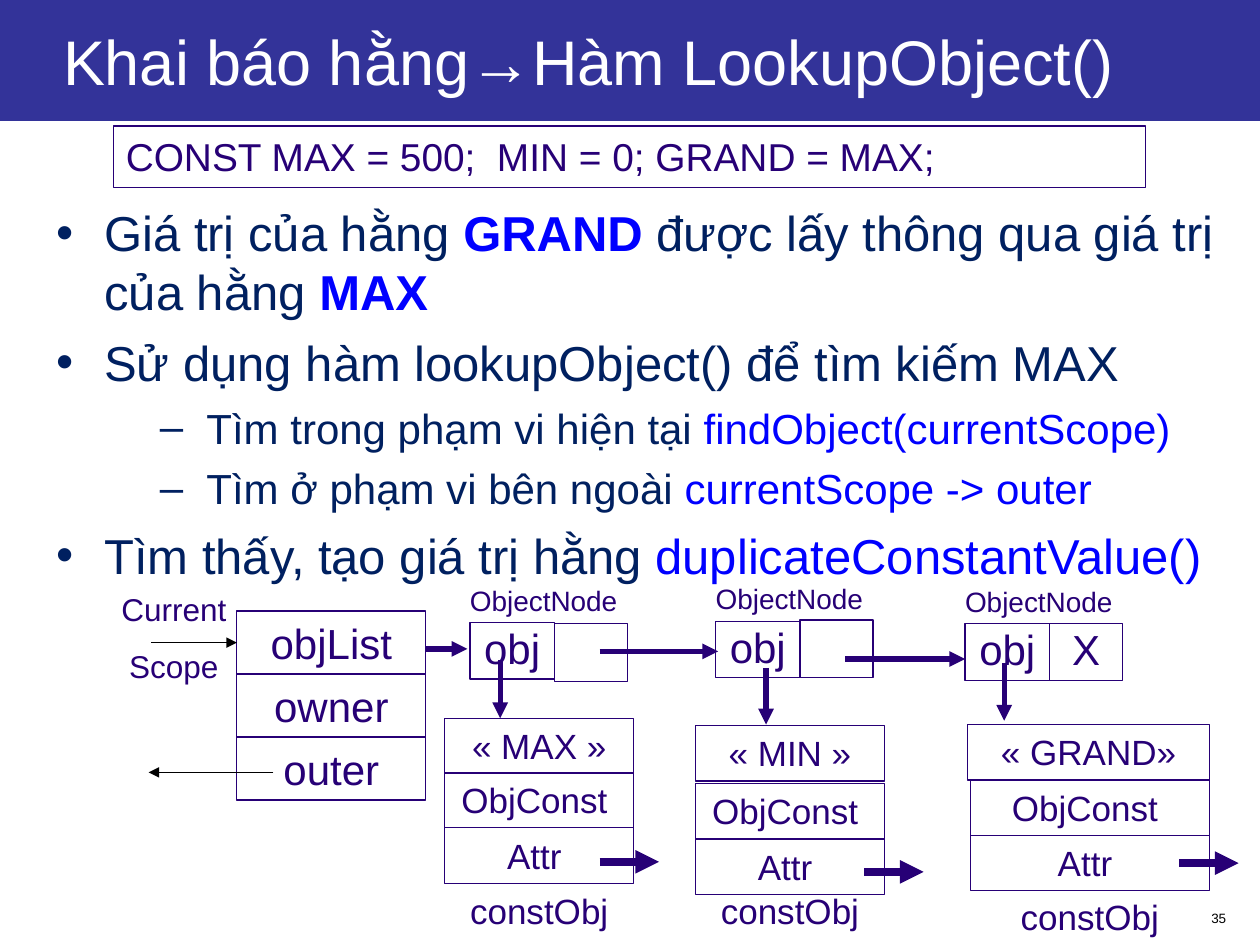
from lxml import etree
from pptx import Presentation
from pptx.dml.color import RGBColor
from pptx.enum.shapes import MSO_CONNECTOR, MSO_SHAPE
from pptx.enum.text import MSO_ANCHOR, PP_ALIGN
from pptx.oxml.ns import qn
from pptx.util import Inches, Pt

LEFT, CENTER, RIGHT = PP_ALIGN.LEFT, PP_ALIGN.CENTER, PP_ALIGN.RIGHT
TOP, MIDDLE = MSO_ANCHOR.TOP, MSO_ANCHOR.MIDDLE
RECTANGLE, STRAIGHT = MSO_SHAPE.RECTANGLE, MSO_CONNECTOR.STRAIGHT

BANNER = RGBColor(0x33, 0x33, 0x99)
WHITE = RGBColor(0xFF, 0xFF, 0xFF)
BLACK = RGBColor(0, 0, 0)
NAVY = RGBColor(0x00, 0x20, 0x60)
BLUE = RGBColor(0x00, 0x00, 0xFF)
INDIGO = RGBColor(0x27, 0x00, 0x76)
FONT = "Arial"

deck = Presentation()
deck.slide_width, deck.slide_height = Inches(10), Inches(7.5)
slide = deck.slides.add_slide(deck.slide_layouts[5])


def add_box(left, top, width, height, text="", size=20, align=CENTER,
            outlined=True, color=INDIGO, inset_top=0.05, gap=0):
    """Add a box, outlined or plain, with one paragraph per line of text."""
    place = [Inches(value) for value in (left, top, width, height)]
    if outlined:
        box = slide.shapes.add_shape(RECTANGLE, *place)
        box.shadow.inherit = False
        box.fill.background()
        box.line.color.rgb = INDIGO
        box.line.width = Pt(0.75)
    else:
        box = slide.shapes.add_textbox(*place)
    frame = box.text_frame
    frame.word_wrap = True
    frame.vertical_anchor = TOP
    frame.margin_top = Inches(inset_top)
    for index, line in enumerate(text.split("\n") if text else []):
        para = frame.paragraphs[0] if index == 0 else frame.add_paragraph()
        para.alignment = align
        if index:
            para.space_before = Pt(gap)
        span = para.add_run()
        span.text = line
        span.font.name, span.font.size = FONT, Pt(size)
        span.font.color.rgb = color


def add_arrow(x1, y1, x2, y2, width=3, color=INDIGO):
    """Add a straight connector with a triangle at its end."""
    arrow = slide.shapes.add_connector(
        STRAIGHT, Inches(x1), Inches(y1), Inches(x2), Inches(y2))
    arrow.line.color.rgb = color
    arrow.line.width = Pt(width)
    etree.SubElement(arrow.line._get_or_add_ln(), qn("a:tailEnd"), type="triangle")
    etree.SubElement(arrow._element.spPr, qn("a:effectLst"))


# Title banner
title = slide.shapes.title
title.left, title.top, title.width, title.height = 0, 0, Inches(10), Inches(0.96)
title.fill.solid()
title.fill.fore_color.rgb = BANNER
title.text_frame.margin_left = Inches(0.5)
title.text_frame.vertical_anchor = MIDDLE
para = title.text_frame.paragraphs[0]
para.alignment = LEFT
span = para.add_run()
span.text = "Khai báo hằng→Hàm LookupObject()"
span.font.name, span.font.size = FONT, Pt(36)
span.font.color.rgb = WHITE

# Declaration line and page number
add_box(0.9, 1, 8.19, 0.49, "CONST MAX = 500;  MIN = 0; GRAND = MAX;", 22.2, LEFT)
add_box(7.75, 7.17, 2.08, 0.24, "35", 7.7, RIGHT, outlined=False, color=BLACK)

# Bulleted explanation: level, then runs of text, colour, bold
POINTS = [
    (0, [("Giá trị của hằng ", NAVY, False), ("GRAND", BLUE, True),
         (" được lấy thông qua giá trị của hằng ", NAVY, False), ("MAX", BLUE, True)]),
    (0, [("Sử dụng hàm lookupObject() để tìm kiếm MAX", NAVY, False)]),
    (1, [("Tìm trong phạm vi hiện tại ", NAVY, False),
         ("findObject(currentScope)", BLUE, False)]),
    (1, [("Tìm ở phạm vi bên ngoài ", NAVY, False),
         ("currentScope -> outer", BLUE, False)]),
    (0, [("Tìm thấy, tạo giá trị hằng ", NAVY, False),
         ("duplicateConstantValue()", BLUE, False)]),
]
# Per level: left margin, indent, bullet, text size, space before
LEVELS = [(0.38, -0.38, "•", 28, 7), (1.19, -0.37, "–", 24, 6)]

body = slide.shapes.add_textbox(Inches(0.35), Inches(1.56), Inches(9.48), Inches(3.21))
frame = body.text_frame
frame.word_wrap = True
for index, (level, runs) in enumerate(POINTS):
    margin, indent, bullet, size, space = LEVELS[level]
    para = frame.paragraphs[0] if index == 0 else frame.add_paragraph()
    para.level = level
    props = para._p.get_or_add_pPr()
    props.set("marL", str(Inches(margin)))
    props.set("indent", str(Inches(indent)))
    bullet_color = etree.SubElement(props, qn("a:buClr"))
    etree.SubElement(bullet_color, qn("a:srgbClr"), val=str(NAVY))
    etree.SubElement(props, qn("a:buFont"), typeface=FONT)
    etree.SubElement(props, qn("a:buChar"), char=bullet)
    if index:
        para.space_before = Pt(space)
    for text, color, bold in runs:
        span = para.add_run()
        span.text = text
        span.font.name, span.font.size = FONT, Pt(size)
        span.font.bold = bold
        span.font.color.rgb = color

# Scope record with its three fields
for row, field in enumerate(("objList", "owner", "outer")):
    add_box(1.88, 4.85 + 0.5 * row, 1.5, 0.5, field, 24)

# Linked list of object nodes: left, top, next cell top and height, its text
NODES = [(3.73, 4.94, 4.95, 0.46, ""), (5.68, 4.93, 4.92, 0.46, ""),
         (7.66, 4.95, 4.95, 0.45, "X")]
for left, top, next_top, next_height, mark in NODES:
    add_box(left, top, 0.67, 0.45, "obj", 24, inset_top=0)
    add_box(left + 0.67, next_top, 0.58, next_height, mark, 24, inset_top=0)
    add_box(left - 0.33, top - 0.36, 1.83, 0.37, "ObjectNode", 16, outlined=False)

# Constant records: name, name box, left and width of the rest, row tops
RECORDS = [
    ("« MAX »", 3.53, 1.5, 3.53, 1.5, (5.7, 6.13, 6.57, 7.01)),
    ("« MIN »", 5.52, 1.5, 5.52, 1.5, (5.76, 6.22, 6.66, 7.01)),
    ("« GRAND»", 7.68, 1.92, 7.7, 1.9, (5.75, 6.19, 6.63, 7.06)),
]
for name, name_left, name_width, left, width, tops in RECORDS:
    add_box(name_left, tops[0], name_width, 0.44, name)
    add_box(left, tops[1], width, 0.44, "ObjConst ")
    add_box(left, tops[2], width, 0.44, "Attr ")
    add_box(left, tops[3], width, 0.44, "constObj", outlined=False)

# Arrows along the list and down to the records
for ends in [(3.38, 5.15, 3.71, 5.15), (4.76, 5.17, 5.7, 5.17),
             (6.71, 5.23, 7.66, 5.23), (3.97, 5.24, 3.97, 5.7),
             (6.08, 5.3, 6.08, 5.75), (7.97, 5.26, 7.97, 5.72)]:
    add_arrow(*ends)

# Attribute arrows
for x, y in [(4.76, 6.84), (6.86, 6.92), (9.36, 6.85)]:
    add_arrow(x, y, x + 0.47, y, 4.5)

# Current scope pointer and link to the outer scope
add_arrow(2.17, 6.13, 1.18, 6.13, 0.75, BLACK)
add_arrow(1.2, 5.1, 1.88, 5.1, 0.75, BLACK)
add_box(0.75, 4.63, 1.26, 0.86, "Current\nScope", 18, outlined=False, gap=11.2)

deck.save("out.pptx")
